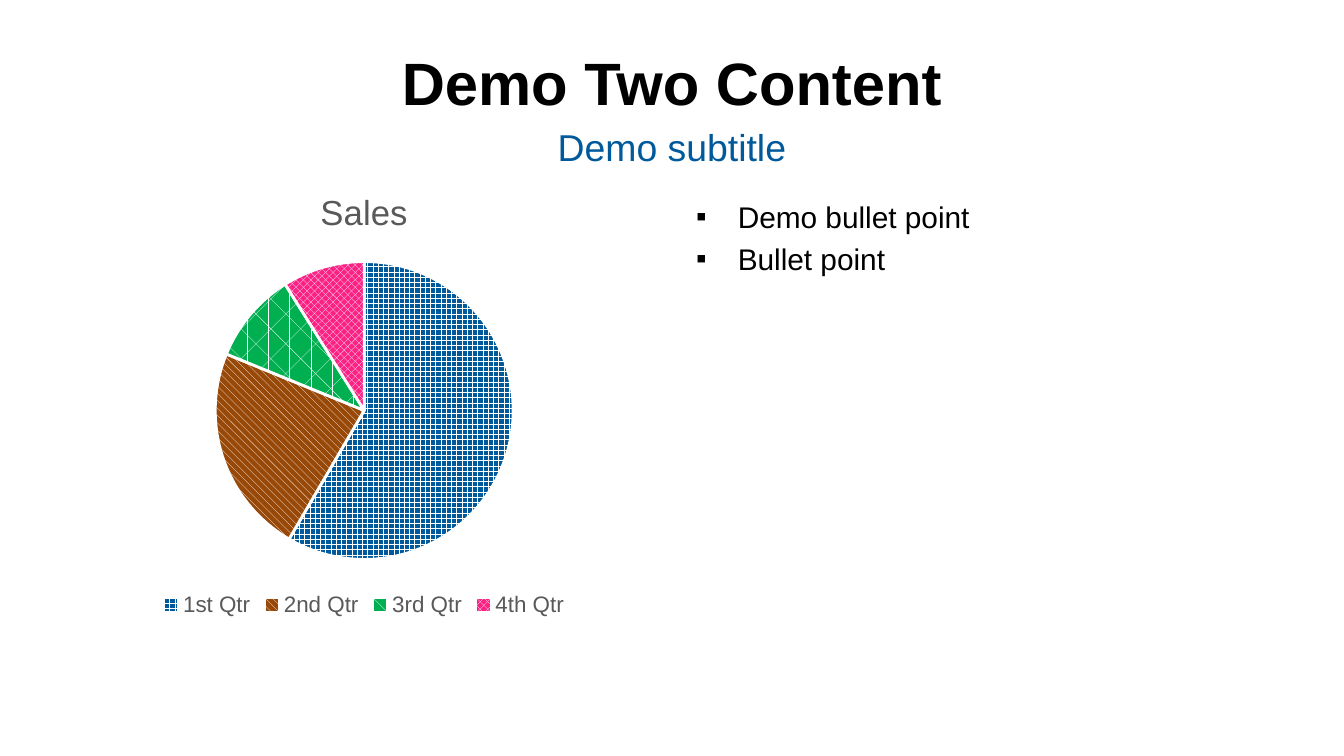
from lxml import etree
from pptx import Presentation
from pptx.chart.data import CategoryChartData
from pptx.dml.color import RGBColor
from pptx.enum.chart import XL_CHART_TYPE as ChartType, XL_LEGEND_POSITION as LegendPosition
from pptx.enum.dml import MSO_PATTERN as Pattern
from pptx.enum.text import MSO_ANCHOR as Anchor, MSO_AUTO_SIZE as AutoSize, PP_ALIGN as Align
from pptx.oxml.ns import qn
from pptx.util import Inches, Pt

COLORS = {
    "black": "000000",
    "white": "FFFFFF",
    "gray": "595959",
    "blue": "00599B",
    "brown": "984807",
    "green": "00B050",
    "pink": "FC2184",
}
QUARTERS = [
    ("1st Qtr", 59, Pattern.LARGE_GRID, "blue"),
    ("2nd Qtr", 23, Pattern.WIDE_DOWNWARD_DIAGONAL, "brown"),
    ("3rd Qtr", 10, Pattern.DIVOT, "green"),
    ("4th Qtr", 9, Pattern.SOLID_DIAMOND, "pink"),
]


def rgb(name):
    return RGBColor.from_string(COLORS[name])


class ContentPage:
    """Holds the style and the current slide."""

    font_name = "Arial"

    def __init__(self, deck):
        self.page = deck.slides.add_slide(deck.slide_layouts.get_by_name("Two Content"))

    def style(self, font, size, color, bold=False):
        font.name = self.font_name
        font.size = Pt(size)
        font.bold = bold
        font.color.rgb = rgb(color)

    def fill_placeholder(self, index, area, lines, size, color, align=Align.LEFT,
                         anchor=Anchor.TOP, bold=False, bullet=None):
        holder = self.page.placeholders[index]
        holder.left, holder.top, holder.width, holder.height = map(Inches, area)
        frame = holder.text_frame
        frame.text = "\n".join(lines)
        frame.word_wrap = True
        frame.auto_size = AutoSize.NONE
        frame.vertical_anchor = anchor
        for number, para in enumerate(frame.paragraphs):
            para.alignment = align
            para.space_before = Pt(0.2 * size if number else 0)
            self.set_bullet(para, bullet)
            for span in para.runs:
                self.style(span.font, size, color, bold)

    def set_bullet(self, para, bullet):
        properties = para._p.get_or_add_pPr()
        indent = Inches(0.31) if bullet else 0
        properties.set("marL", str(indent))
        properties.set("indent", str(-indent))
        if bullet:
            etree.SubElement(properties, qn("a:buFont"), typeface=self.font_name)
            etree.SubElement(properties, qn("a:buChar"), char=bullet)
        else:
            etree.SubElement(properties, qn("a:buNone"))

    def add_pie(self, area, name, slices):
        data = CategoryChartData()
        data.categories = [label for label, *_ in slices]
        data.add_series(name, [value for _, value, *_ in slices])
        chart = self.page.shapes.add_chart(ChartType.PIE, *map(Inches, area), data).chart
        self.style(chart.font, 10, "black")

        chart.has_title = True
        chart.chart_title.include_in_layout = False
        title = chart.chart_title.text_frame
        title.text = name
        self.style(title.paragraphs[0].runs[0].font, 18.6, "gray")

        chart.has_legend = True
        chart.legend.position = LegendPosition.BOTTOM
        chart.legend.include_in_layout = False
        self.style(chart.legend.font, 12, "gray")

        plot = chart.plots[0]
        plot.vary_by_categories = True
        for number, (_, _, pattern, color) in enumerate(slices):
            look = plot.series[0].points[number].format
            look.fill.patterned()
            look.fill.pattern = pattern
            look.fill.fore_color.rgb = rgb("white")
            look.fill.back_color.rgb = rgb(color)
            look.line.color.rgb = rgb("white")
            look.line.width = Pt(1.5)


def main():
    deck = Presentation()
    deck.slide_width = Inches(10)
    deck.slide_height = deck.slide_width * 9 // 16
    page = ContentPage(deck)
    page.fill_placeholder(0, (0.5, 0.14, 9, 0.94), ["Demo Two Content"], 32, "black",
                          align=Align.CENTER, anchor=Anchor.MIDDLE, bold=True)
    page.fill_placeholder(1, (0.5, 0.87, 9, 0.37), ["Demo subtitle"], 20, "blue",
                          align=Align.CENTER)
    page.add_pie((0.5, 1.24, 4.42, 3.39), "Sales", QUARTERS)
    page.fill_placeholder(2, (5.08, 1.43, 4.42, 3.39), ["Demo bullet point", "Bullet point"],
                          16, "black", bullet="▪")
    deck.save("out.pptx")


if __name__ == "__main__":
    main()
